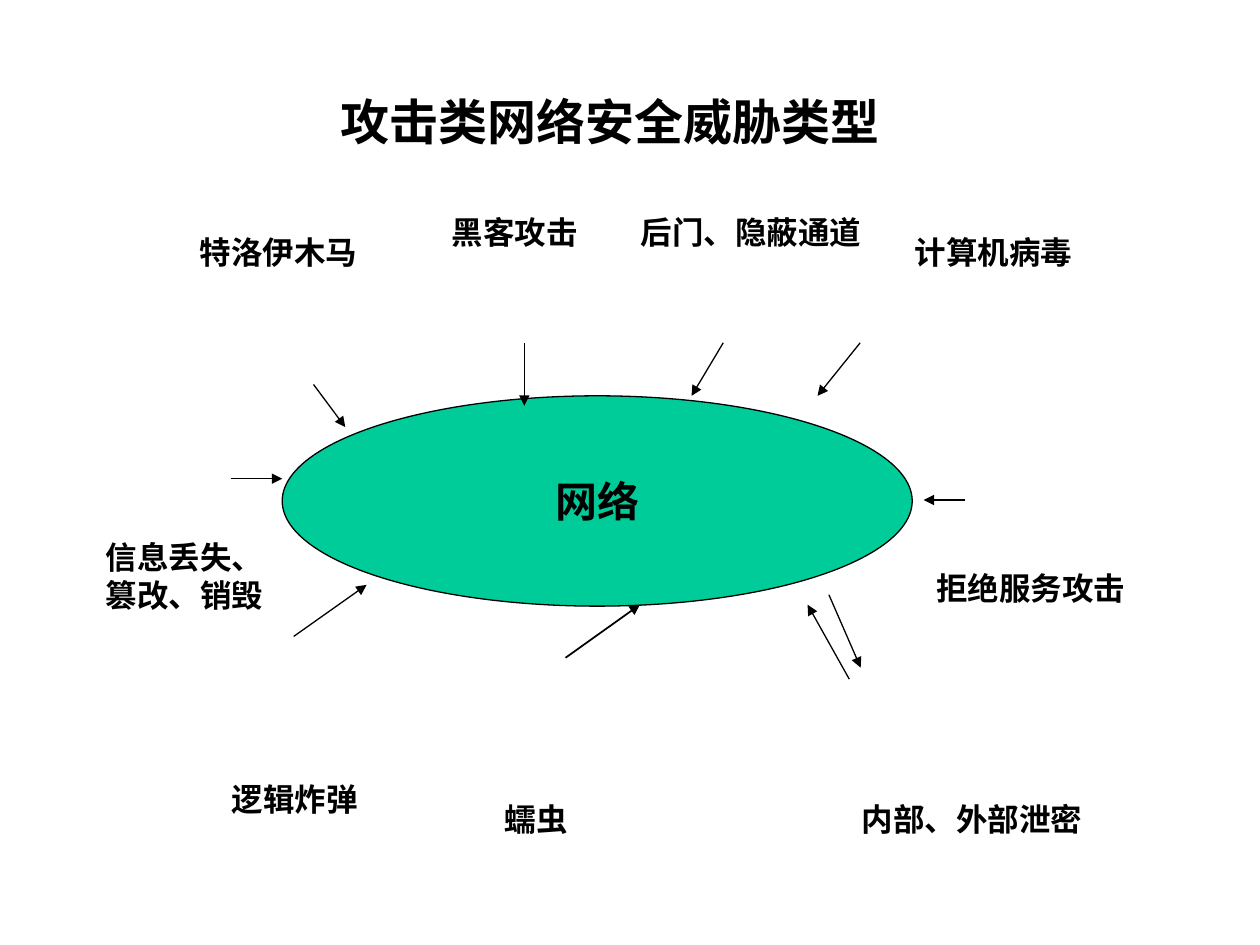
from dataclasses import dataclass

from lxml import etree
from pptx import Presentation
from pptx.dml.color import RGBColor
from pptx.enum.shapes import MSO_CONNECTOR, MSO_SHAPE
from pptx.enum.text import MSO_ANCHOR, MSO_AUTO_SIZE, PP_ALIGN
from pptx.oxml.ns import qn
from pptx.util import Cm, Pt

LEFT, CENTER = PP_ALIGN.LEFT, PP_ALIGN.CENTER
MIDDLE = MSO_ANCHOR.MIDDLE
GROW = MSO_AUTO_SIZE.SHAPE_TO_FIT_TEXT
OVAL = MSO_SHAPE.OVAL
STRAIGHT = MSO_CONNECTOR.STRAIGHT


@dataclass
class Theme:
    ink: RGBColor = RGBColor(0, 0, 0)
    paper: RGBColor = RGBColor(255, 255, 255)
    green: RGBColor = RGBColor(0, 204, 153)
    head: str = "Lato"
    body: str = "Times New Roman"
    title: int = 28
    hub: int = 24
    label: int = 18
    line: float = 0.75


class Board:
    """Holds the theme and the current slide."""

    def __init__(self, slide, theme):
        self.slide = slide
        self.theme = theme
        fill = slide.background.fill
        fill.solid()
        fill.fore_color.rgb = theme.paper

    def add_words(self, frame, text, size, font, align):
        para = frame.paragraphs[0]
        para.alignment = align
        run = para.add_run()
        run.text = text
        run.font.size = Pt(size)
        run.font.name = font
        run.font.bold = True
        run.font.color.rgb = self.theme.ink

    def label(self, text, left, top, width, height, size, font, align=LEFT):
        box = self.slide.shapes.add_textbox(
            Cm(left), Cm(top), Cm(width), Cm(height))
        frame = box.text_frame
        frame.word_wrap = True
        frame.auto_size = GROW
        self.add_words(frame, text, size, font, align)

    def oval(self, text, left, top, width, height):
        shape = self.slide.shapes.add_shape(
            OVAL, Cm(left), Cm(top), Cm(width), Cm(height))
        shape.shadow.inherit = False
        shape.fill.solid()
        shape.fill.fore_color.rgb = self.theme.green
        shape.line.color.rgb = self.theme.ink
        shape.line.width = Pt(self.theme.line)
        frame = shape.text_frame
        frame.word_wrap = False
        frame.vertical_anchor = MIDDLE
        self.add_words(frame, text, self.theme.hub, self.theme.body, CENTER)

    def arrow(self, x1, y1, x2, y2, width=None):
        link = self.slide.shapes.add_connector(
            STRAIGHT, Cm(x1), Cm(y1), Cm(x2), Cm(y2))
        link.line.color.rgb = self.theme.ink
        link.line.width = Pt(width or self.theme.line)
        props = link._element.spPr
        tip = etree.SubElement(props.find(qn("a:ln")), qn("a:tailEnd"))
        tip.set("type", "triangle")
        etree.SubElement(props, qn("a:effectLst"))


# Threat names: text, left, top, width, height in cm
LABELS = [
    ("特洛伊木马", 3.78, 4.57, 6.78, 1.02),
    ("黑客攻击", 8.86, 4.17, 5.28, 1.02),
    ("后门、隐蔽通道", 12.67, 4.17, 5.92, 1.02),
    ("计算机病毒", 18.19, 4.57, 5.08, 1.02),
    ("信息丢失、篡改、销毁", 1.88, 10.72, 4.24, 1.78),
    ("拒绝服务攻击", 18.62, 11.35, 5.08, 1.02),
    ("逻辑炸弹", 4.42, 15.6, 5.08, 1.02),
    ("蠕虫", 9.93, 16, 3.81, 1.02),
    ("内部、外部泄密", 17.12, 16, 6.35, 1.02),
]

# Arrows: start x, y and tip x, y in cm
ARROWS = [
    (6.32, 7.75, 6.96, 8.61),
    (10.57, 6.91, 10.57, 8.18),
    (14.58, 6.91, 13.94, 7.98),
    (17.34, 6.91, 16.48, 7.98),
    (4.65, 9.65, 5.69, 9.65),
    (19.46, 10.08, 18.62, 10.08),
    (5.92, 12.83, 7.39, 11.79),
    (17.12, 13.69, 16.28, 12.19),
    (16.71, 11.99, 17.35, 13.46),
]


def main():
    deck = Presentation()
    deck.slide_width, deck.slide_height = Cm(25.4), Cm(19.05)
    theme = Theme()
    board = Board(deck.slides.add_slide(deck.slide_layouts[6]), theme)

    # Title
    board.label("攻击类网络安全威胁类型", 3.1, 1.73, 18.39, 1.45,
                theme.title, theme.head, CENTER)

    # Network at the centre
    board.oval("网络", 5.69, 7.98, 12.7, 4.24)

    # Threats around it
    for threat in LABELS:
        board.label(*threat, theme.label, theme.body)
    for ends in ARROWS:
        board.arrow(*ends)
    board.arrow(11.4, 13.26, 12.9, 12.19, width=1)  # worm, slightly heavier

    deck.save("out.pptx")


if __name__ == "__main__":
    main()
